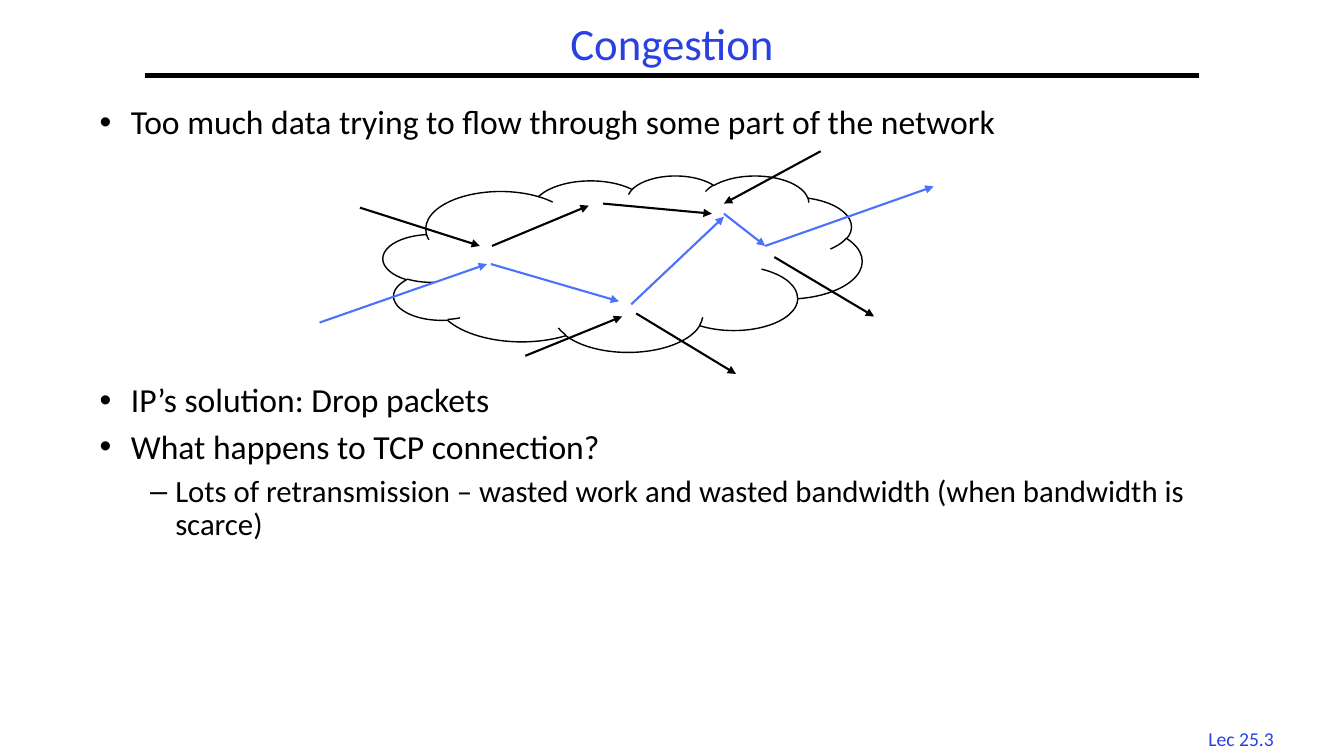
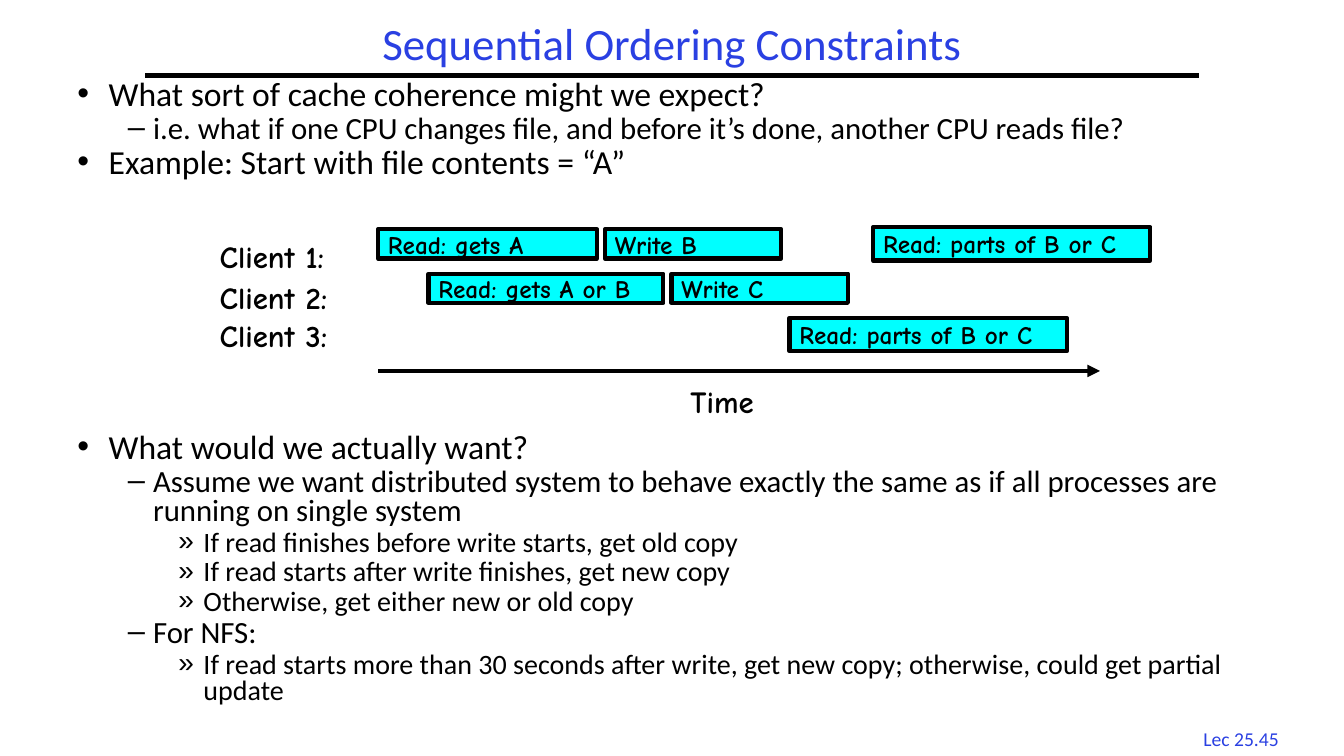
"""Build two lecture slides on network congestion and sequential ordering."""
import pptx
import pptx.dml.color
import pptx.enum.shapes
import pptx.enum.text
import pptx.oxml
import pptx.oxml.ns
import pptx.util
from lxml import etree

SLIDE_W, SLIDE_H = 13.33, 7.5
BLACK, TITLE_BLUE, FLOW_BLUE, CYAN = "000000", "2A40E2", "4B71FD", "00FFFF"
BODY_FONT, DIAGRAM_FONT = "Calibri", "Comic Neue"
RULE_LEFT, RULE_RIGHT, RULE_Y = 1.44, 11.89, 0.75
LEVELS = [("•", 24, 0.31, 0.31), ("–", 22, 0.75, 0.25), ("»", 20, 1.25, 0.25)]

CONGESTION = {
    "title": "Congestion",
    "number": "Lec 25.3",
    "line_spacing": 0.9,
    "space_share": 0.3,
    "bodies": [
        ((0.89, 1, 11.56, 0.5), [
            (0, "Too much data trying to flow through some part of the network"),
        ]),
        ((0.89, 3.76, 11.56, 2.8), [
            (0, "IP’s solution: Drop packets"),
            (0, "What happens to TCP connection?"),
            (1, "Lots of retransmission – wasted work and wasted bandwidth "
                "(when bandwidth is scarce)"),
        ]),
    ],
}
ORDERING = {
    "title": "Sequential Ordering Constraints",
    "number": "Lec 25.45",
    "line_spacing": 0.8,
    "space_share": 0.1,
    "bodies": [
        ((0.67, 0.75, 12, 1.2), [
            (0, "What sort of cache coherence might we expect?"),
            (1, "i.e. what if one CPU changes file, and before it’s done, "
                "another CPU reads file?"),
            (0, "Example: Start with file contents = “A”"),
        ]),
        ((0.67, 4.25, 12, 3.05), [
            (0, "What would we actually want?"),
            (1, "Assume we want distributed system to behave exactly the same "
                "as if all processes are running on single system"),
            (2, "If read finishes before write starts, get old copy"),
            (2, "If read starts after write finishes, get new copy"),
            (2, "Otherwise, get either new or old copy"),
            (1, "For NFS:"),
            (2, "If read starts more than 30 seconds after write, get new copy; "
                "otherwise, could get partial update"),
        ]),
    ],
}

CLOUD = (3.8, 1.74, 4.75, 1.75)
FLOWS = {
    FLOW_BLUE: [
        (3.17, 3.2, 4.83, 2.62), (7.59, 2.44, 9.26, 1.85),
        (4.87, 2.62, 6.14, 2.99), (6.26, 3.02, 7.18, 2.15),
        (7.18, 2.12, 7.59, 2.44),
    ],
    BLACK: [
        (3.57, 2.06, 4.76, 2.44), (8.14, 1.5, 7.18, 2.02),
        (4.88, 2.44, 5.84, 2.04), (5.21, 3.53, 6.17, 3.14),
        (5.98, 2.02, 7.06, 2.12), (7.68, 2.55, 8.67, 3.14),
        (6.31, 3.11, 7.3, 3.71),
    ],
}

CLIENTS = [
    ("Client 1:", 2.31, 2.42, [
        ("Read: gets A", 3.75, 2.17, 0.29),
        ("Write B", 6, 1.75, 0.29),
        ("Read: parts of B or C", 8.66, 2.75, 0.33),
    ]),
    ("Client 2:", 2.72, 2.86, [
        ("Read: gets A or B", 4.25, 2.33, 0.29),
        ("Write C", 6.66, 1.75, 0.29),
    ]),
    ("Client 3:", 3.09, 3.32, [
        ("Read: parts of B or C", 7.83, 2.75, 0.33),
    ]),
]
TIME_AXIS = (3.75, 3.68, 10.91, 3.68)


def rgb(value):
    return pptx.dml.color.RGBColor.from_string(value)


def inches(lengths):
    return [pptx.util.Inches(length) for length in lengths]


def add_run(paragraph, text, size, color=BLACK, name=BODY_FONT, bold=False):
    run = paragraph.add_run()
    run.text = text
    for key, value in {"size": pptx.util.Pt(size), "name": name, "bold": bold}.items():
        setattr(run.font, key, value)
    run.font.color.rgb = rgb(color)


def prepare_frame(shape, anchor="TOP"):
    frame = shape.text_frame
    frame.word_wrap = True
    frame.vertical_anchor = getattr(pptx.enum.text.MSO_ANCHOR, anchor)
    return frame


def add_label(slide, box, text, size, anchor="TOP", align="LEFT", **font):
    label = slide.shapes.add_textbox(*inches(box))
    paragraph = prepare_frame(label, anchor).paragraphs[0]
    paragraph.alignment = getattr(pptx.enum.text.PP_ALIGN, align)
    add_run(paragraph, text, size, **font)
    return paragraph


def add_line(slide, ends, color, width, arrow=True):
    line = slide.shapes.add_connector(
        pptx.enum.shapes.MSO_CONNECTOR.STRAIGHT, *inches(ends))
    line.line.color.rgb = rgb(color)
    line.line.width = pptx.util.Pt(width)
    if arrow:
        etree.SubElement(line.line._get_or_add_ln(),
                         pptx.oxml.ns.qn("a:tailEnd"), type="triangle")
    etree.SubElement(line._element.spPr, pptx.oxml.ns.qn("a:effectLst"))


def add_outlined(slide, preset, box, width, fill=None):
    shape = slide.shapes.add_shape(
        getattr(pptx.enum.shapes.MSO_SHAPE, preset), *inches(box))
    shape.shadow.inherit = False
    if fill:
        shape.fill.solid()
        shape.fill.fore_color.rgb = rgb(fill)
    else:
        shape.fill.background()
    shape.line.color.rgb = rgb(BLACK)
    shape.line.width = pptx.util.Pt(width)
    return shape


def set_bullet(paragraph, mark, margin, hanging):
    properties = paragraph._p.get_or_add_pPr()
    properties.set("marL", str(pptx.util.Inches(margin)))
    properties.set("indent", str(-pptx.util.Inches(hanging)))
    etree.SubElement(properties, pptx.oxml.ns.qn("a:buFont"), typeface="Arial")
    etree.SubElement(properties, pptx.oxml.ns.qn("a:buChar"), char=mark)


def add_body(slide, box, items, line_spacing, space_share):
    frame = prepare_frame(slide.shapes.add_textbox(*inches(box)))
    for index, (level, text) in enumerate(items):
        mark, size, margin, hanging = LEVELS[level]
        paragraph = frame.add_paragraph() if index else frame.paragraphs[0]
        set_bullet(paragraph, mark, margin, hanging)
        spacing = {
            "level": level,
            "line_spacing": line_spacing,
            "space_before": pptx.util.Pt(size * space_share if index else 0),
        }
        for key, value in spacing.items():
            setattr(paragraph, key, value)
        add_run(paragraph, text, size)


def add_lecture_slide(deck, content):
    slide = deck.slides.add_slide(deck.slide_layouts[6])
    add_label(slide, (11.77, 7.16, 1.08, 0.33), content["number"], 14,
              align="CENTER", color=TITLE_BLUE)
    add_line(slide, (RULE_LEFT, RULE_Y, RULE_RIGHT, RULE_Y), BLACK, 3, arrow=False)
    for box, items in content["bodies"]:
        add_body(slide, box, items, content["line_spacing"], content["space_share"])
    title = add_label(slide, (RULE_LEFT, 0.17, RULE_RIGHT - RULE_LEFT, 0.58),
                      content["title"], 32, "MIDDLE", "CENTER", color=TITLE_BLUE)
    title.line_spacing = 0.9
    return slide


def draw_network(slide):
    add_outlined(slide, "CLOUD", CLOUD, 1)
    for color, flows in FLOWS.items():
        for ends in flows:
            add_line(slide, ends, color, 1.5)


def draw_timeline(slide):
    lettering = {"name": DIAGRAM_FONT, "bold": True}
    for client, label_top, middle, operations in CLIENTS:
        add_label(slide, (2.08, label_top, 1.49, 0.47), client, 22, **lettering)
        for text, left, width, height in operations:
            box = (left, middle - height / 2, width, height)
            operation = add_outlined(slide, "RECTANGLE", box, 3, CYAN)
            paragraph = prepare_frame(operation, "MIDDLE").paragraphs[0]
            paragraph.alignment = pptx.enum.text.PP_ALIGN.LEFT
            add_run(paragraph, text, 18, **lettering)
    add_line(slide, TIME_AXIS, BLACK, 3)
    add_label(slide, (6.75, 3.75, 0.91, 0.47), "Time", 22, **lettering)


def main():
    deck = pptx.Presentation()
    deck.slide_width, deck.slide_height = inches((SLIDE_W, SLIDE_H))
    draw_network(add_lecture_slide(deck, CONGESTION))
    draw_timeline(add_lecture_slide(deck, ORDERING))
    deck.save("out.pptx")


if __name__ == "__main__":
    main()
